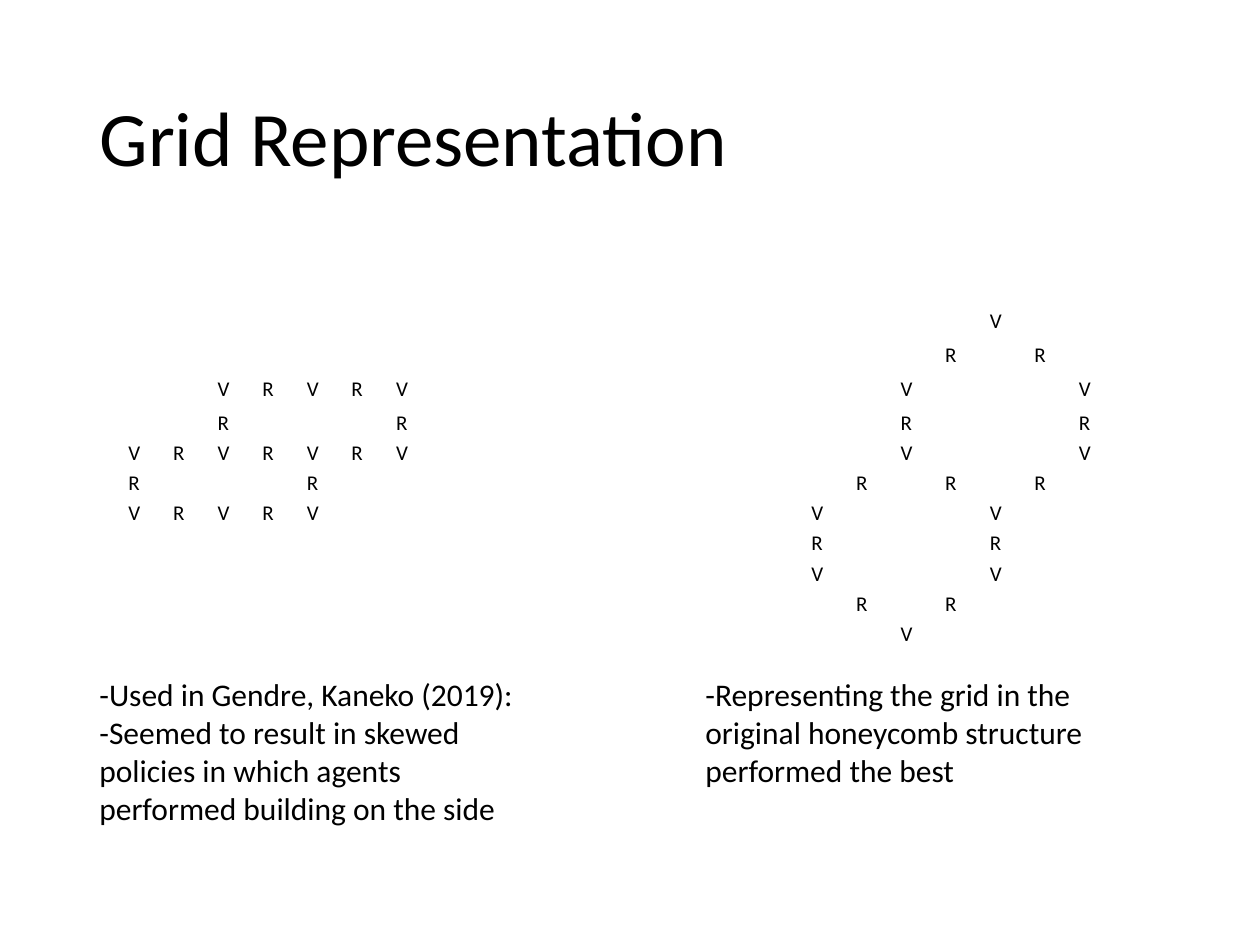
from pptx import Presentation
from pptx.dml.color import RGBColor
from pptx.enum import text as t
from pptx.oxml import ns, xmlchemy
from pptx.util import Inches, Pt

BLACK = RGBColor(0, 0, 0)
WHITE = RGBColor(255, 255, 255)
FONT = "Calibri"

TITLE = "Grid Representation"
# One letter per cell: V vertex, R road, dot for an empty cell
HONEYCOMB_GRID = [
    "....V..",
    "...R.R.",
    "..V...V",
    "..R...R",
    "..V...V",
    ".R.R.R.",
    "V...V..",
    "R...R..",
    "V...V..",
    ".R.R...",
    "..V....",
]
BRICK_GRID = [
    ".......",
    ".......",
    "..VRVRV",
    "..R...R",
    "VRVRVRV",
    "R...R..",
    "VRVRV..",
    ".......",
    ".......",
    ".......",
    ".......",
]
GRIDS = [(6.43, HONEYCOMB_GRID), (1.01, BRICK_GRID)]
NOTES = [
    (0.69, ["-Used in Gendre, Kaneko (2019):",
            "-Seemed to result in skewed policies in which agents "
            "performed building on the side"]),
    (5.5, ["-Representing the grid in the original honeycomb structure "
           "performed the best"]),
]
GRID_TOP, GRID_WIDTH, GRID_HEIGHT = 2.38, 2.48, 2.73
ROW_HEIGHTS = [0.27] * 4 + [0.24] * 7


def write(para, text, size, spacing=None):
    para.alignment = t.PP_ALIGN.LEFT
    para.line_spacing = spacing
    span = para.add_run()
    span.text = text
    span.font.size = Pt(size)
    span.font.name = FONT
    span.font.color.rgb = BLACK


def add_borders(cell):
    """Draw thin white lines on all four sides of the cell."""
    properties = cell._tc.get_or_add_tcPr()
    for index, side in enumerate(("lnL", "lnR", "lnT", "lnB")):
        line = xmlchemy.OxmlElement(f"a:{side}")
        line.set("w", str(Pt(1)))
        fill = xmlchemy.OxmlElement("a:solidFill")
        color = xmlchemy.OxmlElement("a:srgbClr")
        color.set("val", str(WHITE))
        fill.append(color)
        line.append(fill)
        properties.insert(index, line)


def fill_cell(cell, letter):
    cell.margin_left = cell.margin_right = cell.margin_top = Inches(0.01)
    cell.margin_bottom = 0
    cell.vertical_anchor = t.MSO_ANCHOR.BOTTOM
    cell.fill.background()
    add_borders(cell)
    para = cell.text_frame.paragraphs[0]
    if letter == ".":
        # The end mark keeps an empty cell from growing its row
        end_mark = xmlchemy.OxmlElement("a:endParaRPr")
        end_mark.set("sz", "1200")
        para._p.append(end_mark)
    else:
        write(para, letter, size=12)


def add_grid(page, left, rows):
    columns = len(rows[0])
    frame = page.shapes.add_table(
        len(rows), columns, Inches(left), Inches(GRID_TOP),
        Inches(GRID_WIDTH), Inches(GRID_HEIGHT))
    table = frame.table
    table.first_row = table.horz_banding = False
    for column in table.columns:
        column.width = Inches(GRID_WIDTH / columns)
    for row, height, letters in zip(table.rows, ROW_HEIGHTS, rows):
        row.height = Inches(height)
        for cell, letter in zip(row.cells, letters):
            fill_cell(cell, letter)


def add_note(page, left, lines):
    box = page.shapes.add_textbox(
        Inches(left), Inches(5.31), Inches(3.59), Inches(1.31))
    frame = box.text_frame
    frame.word_wrap = True
    for index, line in enumerate(lines):
        para = frame.add_paragraph() if index else frame.paragraphs[0]
        write(para, line, size=18)


def main():
    deck = Presentation()
    deck.slide_width, deck.slide_height = Inches(10), Inches(7.5)
    page = deck.slides.add_slide(deck.slide_layouts[5])
    page.background.fill.solid()
    page.background.fill.fore_color.rgb = WHITE

    title = page.shapes.title
    title.left, title.top = Inches(0.69), Inches(0.4)
    title.width, title.height = Inches(8.62), Inches(1.45)
    title.text_frame.vertical_anchor = t.MSO_ANCHOR.MIDDLE
    write(title.text_frame.paragraphs[0], TITLE, size=44, spacing=0.9)

    for left, rows in GRIDS:
        add_grid(page, left, rows)
    for left, lines in NOTES:
        add_note(page, left, lines)
    deck.save("out.pptx")


if __name__ == "__main__":
    main()
